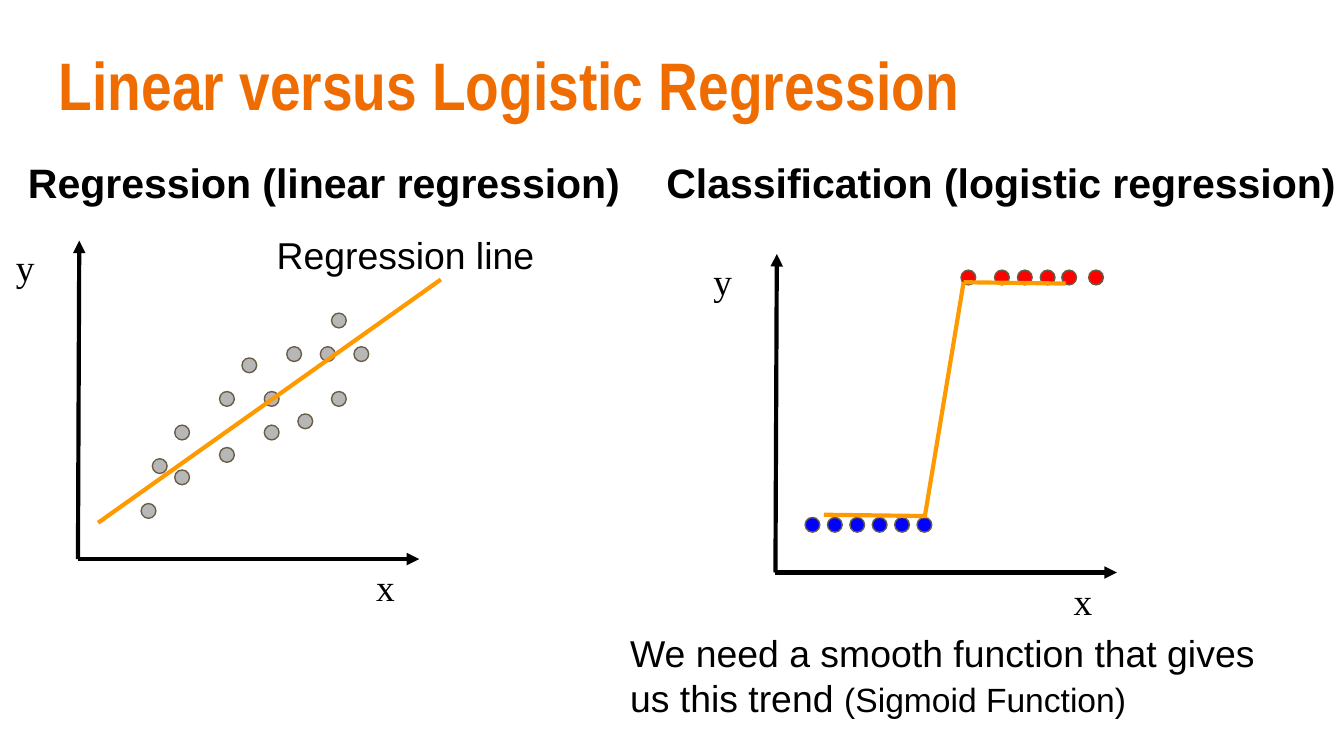
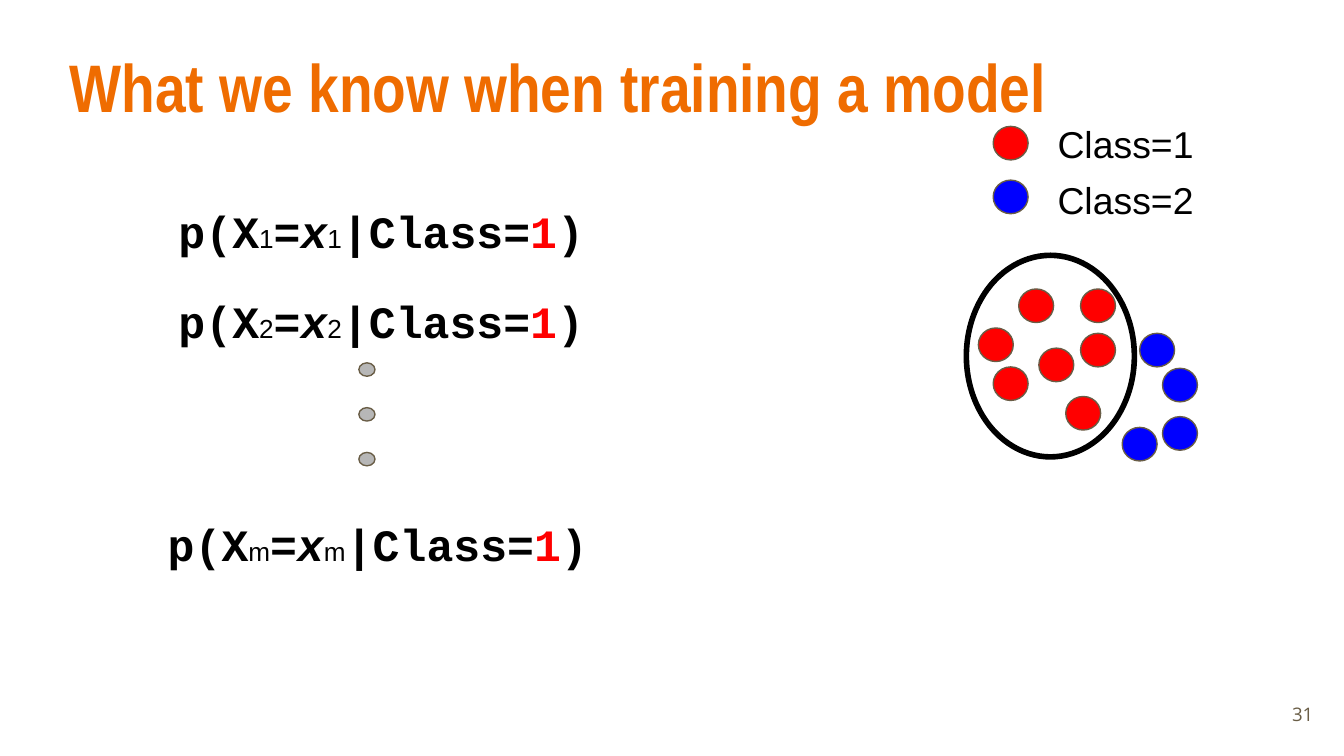
from lxml.etree import SubElement
from pptx import Presentation
from pptx.dml.color import RGBColor
from pptx.enum.shapes import MSO_CONNECTOR, MSO_SHAPE as SHAPE
from pptx.enum.text import MSO_ANCHOR as ANCHOR, PP_ALIGN as ALIGN
from pptx.oxml.ns import qn
from pptx.util import Inches, Pt

rgb = RGBColor.from_string
TITLE_COLOR, OUTLINE, TREND = "EF6C00", "695D46", "FF9900"
BLACK, GREY, RED, BLUE = "000000", "B7B7B7", "FF0000", "0000FF"

prs = Presentation()
prs.slide_width = Inches(10)
prs.slide_height = prs.slide_width * 9 // 16
CELL = prs.slide_width // 10  # square grid, ten columns across the slide


def add_text(slide, box, text, **style):
    """Place text, or a list of (text, overrides) runs; box is in grid cells."""
    frame = slide.shapes.add_textbox(*[int(v * CELL) for v in box]).text_frame
    frame.word_wrap = True
    frame.vertical_anchor = style.get("anchor", ANCHOR.TOP)
    frame.margin_left = frame.margin_right = int(0.1 * CELL)
    frame.margin_top = frame.margin_bottom = int(0.1 * CELL)
    paragraph = frame.paragraphs[0]
    paragraph.alignment = style.get("align", ALIGN.LEFT)
    paragraph.line_spacing = style.get("spacing", 1.0)
    for words, changes in [(text, {})] if isinstance(text, str) else text:
        look = {"size": 20, "font": "Arial", "color": BLACK, **style, **changes}
        run = paragraph.add_run()
        run.text = words
        run.font.name, run.font.size = look["font"], Pt(look["size"])
        run.font.color.rgb = rgb(look["color"])
        run.font.bold = look.get("bold", False)
        run.font.italic = look.get("italic", False)


def add_oval(slide, box, fill=None, line=OUTLINE, weight=0.75, kind=SHAPE.FLOWCHART_CONNECTOR):
    oval = slide.shapes.add_shape(kind, *[int(v * CELL) for v in box])
    oval.shadow.inherit = False
    if fill:
        oval.fill.solid()
        oval.fill.fore_color.rgb = rgb(fill)
    else:
        oval.fill.background()
    oval.line.color.rgb = rgb(line)
    oval.line.width = Pt(weight)


# Slides and titles
titles = [("Linear versus Logistic Regression", 0.34, 0.22),
          ("What we know when training a model", 0.42, 0.24)]
for title, left, top in titles:
    page = prs.slides.add_slide(prs.slide_layouts[6])
    add_text(page, (left, top, 9.32, 0.77), title,
             size=36, font="Arial Narrow", color=TITLE_COLOR, bold=True)
comparison, training = prs.slides

# Headings and notes of the comparison
for heading, left, width in [("Regression (linear regression)", 0.11, 4.71),
                             ("Classification (logistic regression)", 4.86, 5.38)]:
    add_text(comparison, (left, 1.07, width, 0.62), heading, size=22, bold=True)
add_text(comparison, (1.96, 1.63, 2.28, 0.65), "Regression line")
add_text(comparison, (4.59, 4.59, 5.13, 0.84),
         [("We need a smooth function that gives us this trend ", {}),
          ("(Sigmoid Function)", {"size": 18})])

# Data points: the scatter sits on a grid of twelfths
DOT = 0.11
scatter = [(9, 4), (11, 10), (17, 7), (13, 3), (19, 3), (14, 9), (7, 7), (7, 12),
           (3, 10), (17, 0), (11, 7), (16, 3), (3, 14), (1, 13), (0, 17)]
points = [(1.05 + col / 12, 2.33 + row / 12, GREY) for col, row in scatter]
points += [(x, 2.01, RED) for x in (7.15, 7.4, 7.57, 7.74, 7.9, 8.1)]
points += [(5.99 + i / 6, 3.85, BLUE) for i in range(6)]
for x, y, color in points:
    add_oval(comparison, (x, y, DOT, DOT), color)

# Axes and straight trend lines
lines = [(3.28, 2.08, 0.73, 3.89, TREND), (6.88, 3.85, 7.17, 2.1, TREND)]
for x, y in [(0.58, 4.16), (5.77, 4.26)]:
    lines += [(x, y, x + 2.54, y, BLACK), (x, y, x + 0.01, y - 2.37, BLACK)]
    for label, left, top in [("x", x + 2.12, y - 0.06), ("y", x - 0.56, y - 2.44)]:
        add_text(comparison, (left, top, 0.46, 0.47), label, font="Times New Roman")
for *ends, color in lines:
    line = comparison.shapes.add_connector(MSO_CONNECTOR.STRAIGHT,
                                           *[int(v * CELL) for v in ends])
    line.line.color.rgb = rgb(color)
    line.line.width = Pt(2.25)
    properties = line._element.spPr
    if color == BLACK:
        SubElement(properties.find(qn("a:ln")), qn("a:tailEnd"), type="triangle")
    SubElement(properties, qn("a:effectLst"))

# Flat ends of the step
for x, y in [(6.13, 3.83), (7.17, 2.1)]:
    builder = comparison.shapes.build_freeform(int(x * CELL), int(y * CELL))
    builder.add_line_segments([(int((x + 0.76) * CELL), int((y + 0.01) * CELL))], close=False)
    plateau = builder.convert_to_shape()
    plateau.shadow.inherit = False
    plateau.fill.background()
    plateau.line.color.rgb = rgb(TREND)
    plateau.line.width = Pt(2.25)

# Slide number
add_text(training, (9.27, 5.1, 0.6, 0.43), "31", size=10, font="Open Sans",
         color=OUTLINE, align=ALIGN.RIGHT, anchor=ANCHOR.MIDDLE)

# Conditional probabilities
for index, left, top in [("1", 1.23, 1.27), ("2", 1.23, 1.94), ("m", 1.15, 3.6)]:
    subscript = (index, {"size": 14, "font": "Arial", "bold": False})
    add_text(training, (left, top, 3.46, 0.67),
             [("p(X", {}), subscript, ("=", {}), ("x", {"italic": True}), subscript,
              ("|Class=", {}), ("1", {"color": RED}), (")", {})],
             size=24, font="Courier New", bold=True, spacing=1.36)
for i in range(3):
    add_oval(training, (2.67, 2.7 + i / 3, 0.12, 0.1), GREY, kind=SHAPE.OVAL)

# Legend, class boundary and samples
for label, top in [("Class=1", 0.8), ("Class=2", 1.22)]:
    add_text(training, (7.77, top, 1.25, 0.48), label)
add_oval(training, (7.19, 1.9, 1.25, 1.5), line=BLACK, weight=3)
samples = {
    RED: [(7.39, 0.94), (7.58, 2.15), (8.04, 2.15), (8.04, 2.48), (7.28, 2.44),
          (7.73, 2.59), (7.93, 2.95), (7.39, 2.73)],
    BLUE: [(7.39, 1.34), (8.48, 2.48), (8.65, 2.74), (8.35, 3.18), (8.65, 3.1)],
}
for color, places in samples.items():
    for x, y in places:
        add_oval(training, (x, y, 0.26, 0.25), color)

prs.save("out.pptx")
